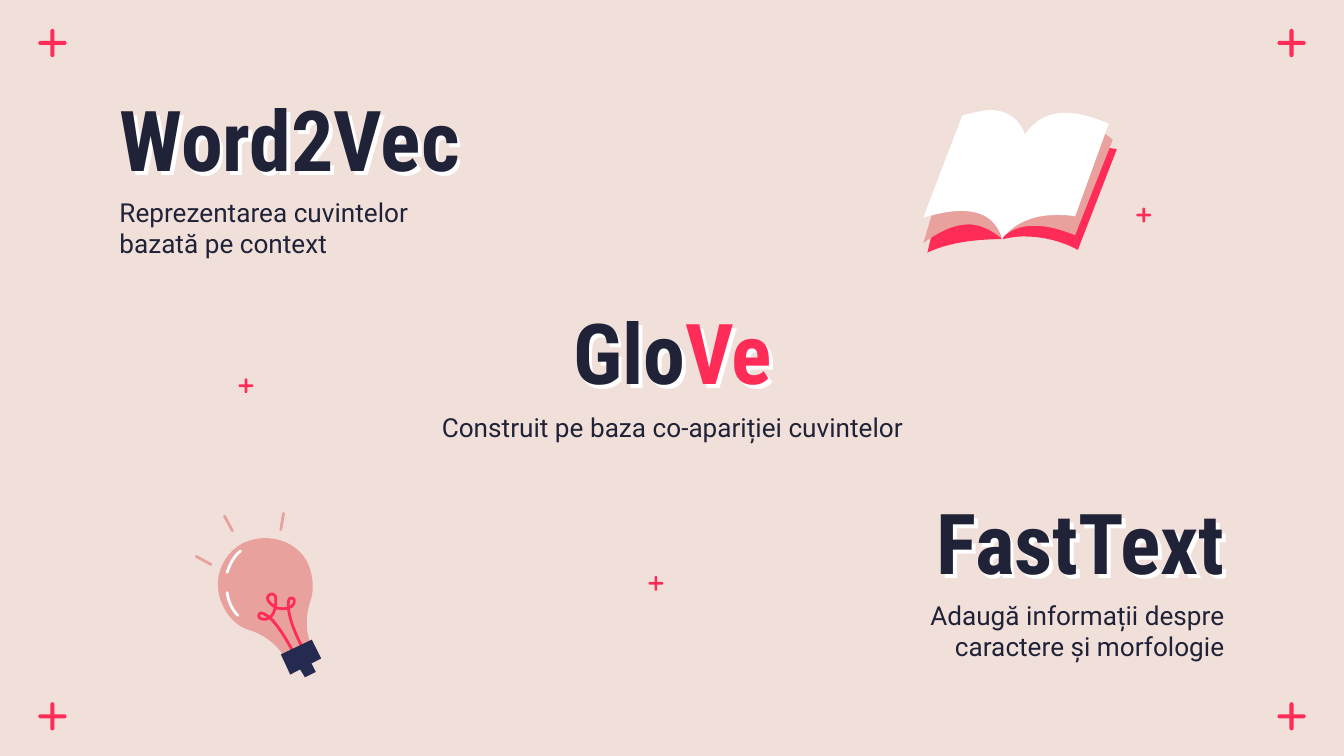
"""Build a slide that presents three word embedding models."""
from lxml.etree import SubElement
from pptx import Presentation
from pptx.dml.color import RGBColor
from pptx.enum.shapes import MSO_CONNECTOR, MSO_SHAPE
from pptx.enum.text import MSO_ANCHOR, PP_ALIGN
from pptx.oxml.ns import qn
from pptx.util import Inches, Pt

PINK = RGBColor(0xFF, 0x2C, 0x58)
ROSE = RGBColor(0xE8, 0xA1, 0x9D)
SAND = RGBColor(0xF1, 0xE0, 0xDA)
INK = RGBColor(0x20, 0x22, 0x37)
NAVY = RGBColor(0x25, 0x2A, 0x51)
WHITE = RGBColor(0xFF, 0xFF, 0xFF)
PALE = RGBColor(0xF9, 0xFB, 0xFC)
STEPS = 12

deck = Presentation()
deck.slide_width = Inches(10)
deck.slide_height = Inches(10) * 9 // 16
slide = deck.slides.add_slide(deck.slide_layouts[6])
slide.background.fill.solid()
slide.background.fill.fore_color.rgb = SAND
shapes = slide.shapes


def write(box, runs, size, font, bold, align, anchor):
    """Add a text box with one paragraph of coloured runs."""
    area = shapes.add_textbox(*[Inches(v) for v in box])
    frame = area.text_frame
    frame.word_wrap = True
    frame.vertical_anchor = anchor
    frame.margin_left = frame.margin_right = Inches(0.1)
    frame.margin_top = frame.margin_bottom = Inches(0.1)
    para = frame.paragraphs[0]
    para.alignment = align
    for text, color in runs:
        run = para.add_run()
        run.text = text
        run.font.size = Pt(size)
        run.font.name = font
        run.font.bold = bold
        run.font.color.rgb = color
    return area


def trace(path, color, width=0):
    """Draw a path of points and cubic curves, filled unless it has a width."""
    spots = [path[0]]
    for part in path[1:]:
        if len(part) == 2:
            spots.append(part)
            continue
        knots = [spots[-1], part[:2], part[2:4], part[4:]]
        for step in range(1, STEPS + 1):
            t = step / STEPS
            mix = ((1 - t) ** 3, 3 * t * (1 - t) ** 2, 3 * t * t * (1 - t), t ** 3)
            spots.append(tuple(sum(m * k[i] for m, k in zip(mix, knots)) for i in (0, 1)))
    spots = [(Inches(x), Inches(y)) for x, y in spots]
    pen = shapes.build_freeform(*spots[0], scale=1.0)
    pen.add_line_segments(spots[1:], close=not width)
    shape = pen.convert_to_shape()
    shape.shadow.inherit = False
    if width:
        shape.fill.background()
        shape.line.color.rgb = color
        shape.line.width = Pt(width)
        shape.element.spPr.find(qn("a:ln")).set("cap", "rnd")
    else:
        shape.fill.solid()
        shape.fill.fore_color.rgb = color
        shape.line.fill.background()


crosses = [(x, y, 0.21, 0.03) for y in (0.32, 5.33) for x in (0.39, 9.61)]
crosses += [(x, y, 0.11, 0.02) for x, y in ((8.51, 1.6), (4.88, 4.34), (1.83, 2.87))]
for x, y, long, thin in crosses:
    for wide, high in ((long, thin), (thin, long)):
        bar = shapes.add_shape(
            MSO_SHAPE.ROUNDED_RECTANGLE, Inches(x - wide / 2), Inches(y - high / 2),
            Inches(wide), Inches(high))
        bar.adjustments[0] = 0.5
        bar.shadow.inherit = False
        bar.fill.solid()
        bar.fill.fore_color.rgb = PINK
        bar.line.fill.background()

models = [
    (PP_ALIGN.LEFT, (0.79, 0.59, 3.74, 0.91), [("Word2Vec", INK)],
     (0.79, 1.36, 2.73, 0.67), "Reprezentarea cuvintelor bazată pe context"),
    (PP_ALIGN.CENTER, (2.12, 2.18, 5.77, 0.91), [("Glo", INK), ("Ve", PINK)],
     (2.12, 2.96, 5.77, 0.49), "Construit pe baza co-apariției cuvintelor"),
    (PP_ALIGN.RIGHT, (5.47, 3.59, 3.74, 0.91), [("FastText", INK)],
     (6.48, 4.36, 2.73, 0.67), "Adaugă informații despre caractere și morfologie"),
]
for align, top, name, low, note in models:
    title = write(top, name, 45, "Roboto Condensed", True, align, MSO_ANCHOR.BOTTOM)
    glow = SubElement(title.element.spPr, qn("a:effectLst"))
    shade = SubElement(glow, qn("a:outerShdw"), dist="38100", dir="2700000",
                       algn="bl", rotWithShape="0")
    SubElement(shade, qn("a:srgbClr"), val=str(WHITE))
    text = write(low, [(note, INK)], 14, "Roboto", False, align, MSO_ANCHOR.TOP)
    text.text_frame.paragraphs[0].space_after = Pt(16)

book = [
    (PINK, [(7.63, 1.01), (7.09, 1.08), (6.9, 1.88), (7.05, 1.81, 7.24, 1.78, 7.46, 1.78),
            (7.51, 1.77, 7.56, 1.76, 7.62, 1.76), (7.77, 1.76, 7.91, 1.8, 8.02, 1.86),
            (8.31, 1.11)]),
    (ROSE, [(7.9, 0.87), (7.78, 0.87, 7.68, 0.93, 7.62, 1.01), (7.45, 1.78),
            (7.52, 1.7, 7.61, 1.68, 7.7, 1.68), (7.8, 1.68, 7.9, 1.71, 8, 1.75),
            (8.28, 1.04), (8.14, 0.92, 8.01, 0.87, 7.9, 0.87)]),
    (ROSE, [(7.38, 0.86), (7.31, 0.86, 7.22, 0.89, 7.13, 0.94), (6.87, 1.81),
            (6.99, 1.72, 7.1, 1.67, 7.21, 1.67), (7.29, 1.67, 7.38, 1.71, 7.46, 1.78),
            (7.63, 1.01), (7.56, 0.91, 7.48, 0.86, 7.38, 0.86)]),
    (WHITE, [(7.93, 0.84), (7.8, 0.84, 7.7, 0.89, 7.62, 1.01), (7.45, 1.78),
             (7.55, 1.66, 7.68, 1.6, 7.86, 1.6), (7.9, 1.6, 7.95, 1.6, 8, 1.61),
             (8.25, 0.92), (8.13, 0.87, 8.02, 0.84, 7.93, 0.84)]),
    (WHITE, [(7.37, 0.82), (7.31, 0.82, 7.24, 0.84, 7.16, 0.86), (6.87, 1.62),
             (6.97, 1.59, 7.07, 1.57, 7.15, 1.57), (7.31, 1.57, 7.41, 1.63, 7.46, 1.78),
             (7.63, 1.01), (7.59, 0.89, 7.5, 0.82, 7.37, 0.82)]),
]
for color, path in book:
    trace(path, color)

glass = [(1.81, 4.04), (1.64, 4.13, 1.57, 4.34, 1.66, 4.51), (1.7, 4.6, 1.78, 4.67, 1.86, 4.69),
         (1.98, 4.73, 2.08, 4.81, 2.14, 4.93), (2.33, 4.83),
         (2.27, 4.72, 2.27, 4.59, 2.31, 4.47), (2.34, 4.38, 2.33, 4.27, 2.28, 4.17),
         (2.19, 4.02, 1.99, 3.96, 1.81, 4.04)]
wire = [(2.17, 4.83), (2.11, 4.72, 2.05, 4.63, 2, 4.59), (1.97, 4.57, 1.94, 4.55, 1.93, 4.57),
        (1.91, 4.6, 1.96, 4.62, 2, 4.6), (2.04, 4.58, 2.06, 4.5, 2.05, 4.44),
        (2.04, 4.42, 2.02, 4.41, 2, 4.43), (1.97, 4.46, 2.02, 4.5, 2.05, 4.52),
        (2.1, 4.54, 2.19, 4.53, 2.19, 4.47), (2.19, 4.45, 2.16, 4.44, 2.15, 4.46),
        (2.13, 4.53, 2.17, 4.66, 2.24, 4.8)]
trace(glass, ROSE)
trace(wire, PINK, 1.5)
trace([(1.69, 4.41), (1.7, 4.48, 1.73, 4.54, 1.77, 4.58)], PALE, 1.5)
trace([(1.69, 4.26), (1.71, 4.2, 1.74, 4.14, 1.79, 4.1)], PALE, 1.5)
trace([(2.09, 4.87), (2.16, 5.02), (2.39, 4.9), (2.32, 4.76)], NAVY)
trace([(2.22, 4.96), (2.27, 5.04), (2.35, 5), (2.31, 4.92)], NAVY)

for ends in ((2.11, 3.82, 2.09, 3.94), (1.46, 4.14, 1.57, 4.2), (1.67, 3.84, 1.73, 3.95)):
    ray = shapes.add_connector(MSO_CONNECTOR.STRAIGHT, *[Inches(v) for v in ends])
    ray.line.color.rgb = ROSE
    ray.line.width = Pt(1.5)
    ray.element.spPr.find(qn("a:ln")).set("cap", "rnd")
    SubElement(ray.element.spPr, qn("a:effectLst"))

deck.save("out.pptx")
